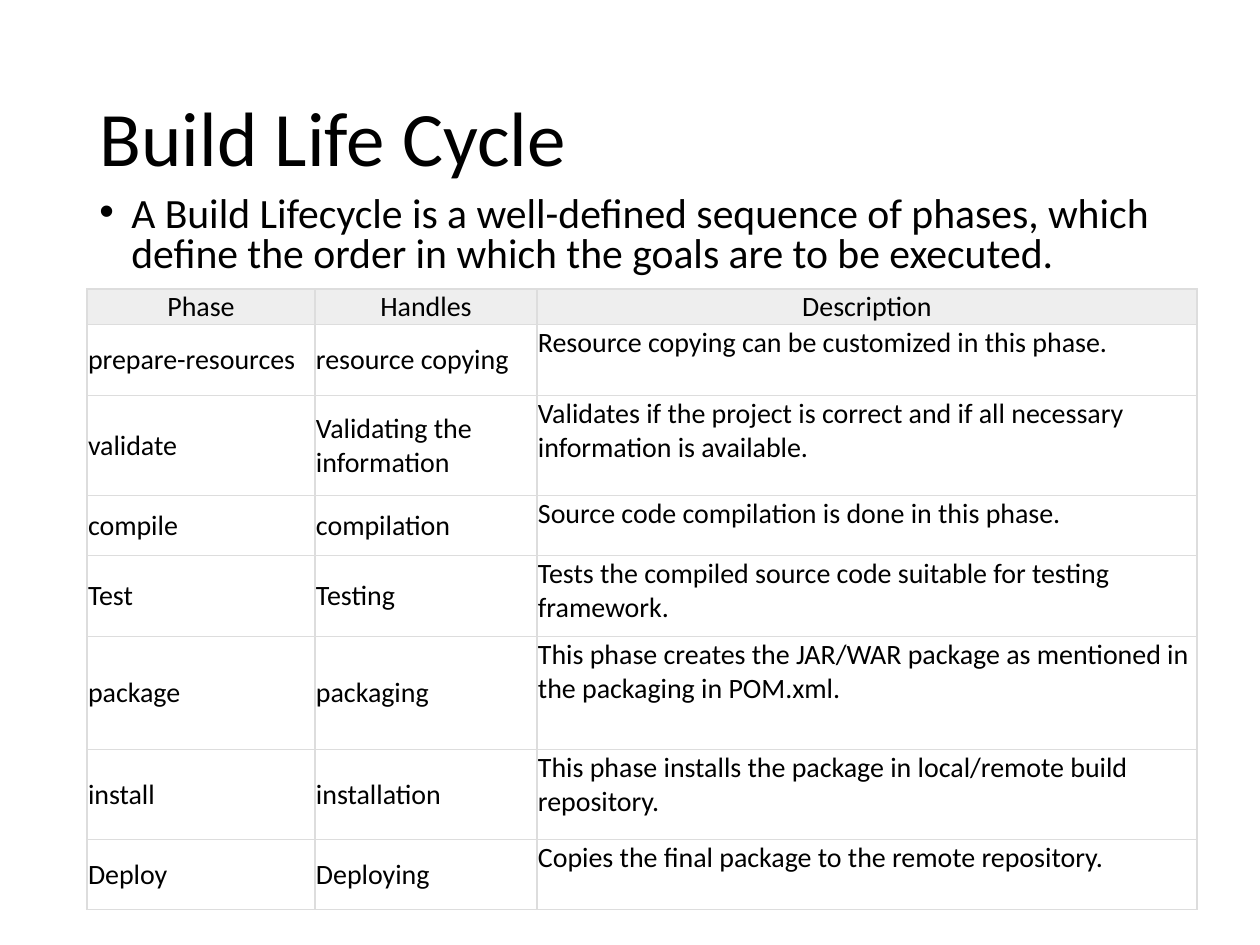
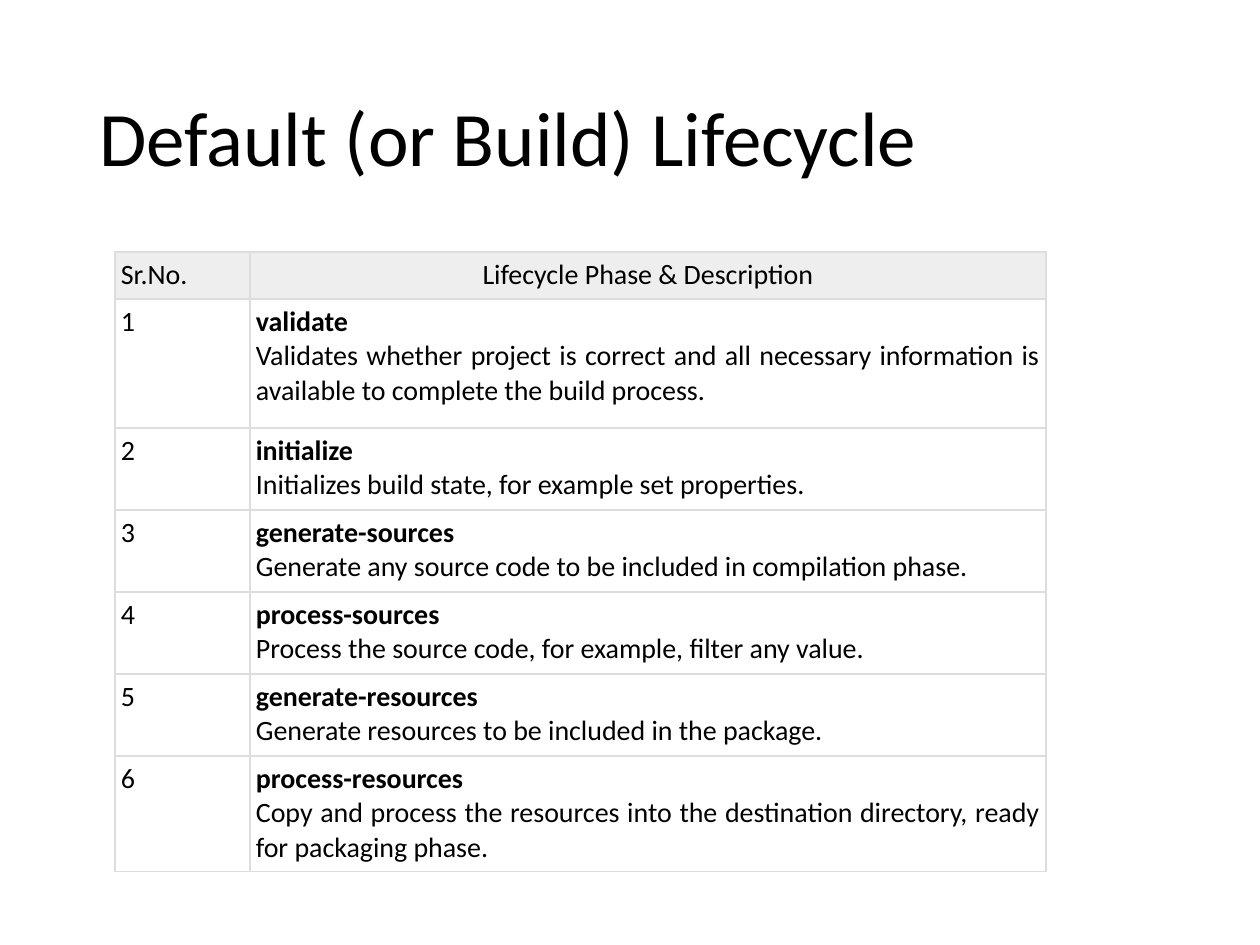
import pptx
import pptx.util
import pptx.dml.color
import pptx.enum.text
import pptx.oxml
import pptx.oxml.ns
import lxml.etree

PX = 914400 / 126
FONT, INK, PAPER = "Calibri", "000000", "FFFFFF"
HEADER_FILL, RULE = "EEEEEE", "DDDDDD"
LEFT = pptx.enum.text.PP_ALIGN.LEFT
CENTER = pptx.enum.text.PP_ALIGN.CENTER
JUSTIFY = pptx.enum.text.PP_ALIGN.JUSTIFY
TOP = pptx.enum.text.MSO_ANCHOR.TOP
MIDDLE = pptx.enum.text.MSO_ANCHOR.MIDDLE


def px(length):
    return pptx.util.Emu(round(length * PX))


def write(frame, text, size=16, align=LEFT, bold_first=False, spacing=None, before=0):
    """Fill a text frame; each line of the text becomes one paragraph."""
    for i, line in enumerate(text.split("\n")):
        paragraph = frame.paragraphs[0] if i == 0 else frame.add_paragraph()
        paragraph.alignment = align
        paragraph.space_before = pptx.util.Pt(before)
        if spacing:
            paragraph.line_spacing = spacing
        run = paragraph.add_run()
        run.text = line
        run.font.name = FONT
        run.font.size = pptx.util.Pt(size)
        run.font.bold = bold_first and i == 0
        run.font.color.rgb = pptx.dml.color.RGBColor.from_string(INK)


deck = pptx.Presentation()
deck.slide_width, deck.slide_height = px(1260), px(945)

# Content of both slides; "columns" holds the width, alignment and anchor of each column
build_cycle = {
    "title": "Build Life Cycle",
    "intro": "A Build Lifecycle is a well-defined sequence of phases, "
             "which define the order in which the goals are to be executed.",
    "origin": (87, 289),
    "inset": 1,
    "columns": [(228, LEFT, MIDDLE), (222, LEFT, MIDDLE), (660, LEFT, TOP)],
    "header_aligns": [CENTER, CENTER, CENTER],
    "heights": [35, 71, 100, 60, 81, 113, 90, 70],
    "rows": [
        ("Phase", "Handles", "Description"),
        ("prepare-resources", "resource copying",
         "Resource copying can be customized in this phase."),
        ("validate", "Validating the information",
         "Validates if the project is correct and if all necessary information is available."),
        ("compile", "compilation", "Source code compilation is done in this phase."),
        ("Test", "Testing", "Tests the compiled source code suitable for testing framework."),
        ("package", "packaging",
         "This phase creates the JAR/WAR package as mentioned in the packaging in POM.xml."),
        ("install", "installation",
         "This phase installs the package in local/remote build repository."),
        ("Deploy", "Deploying", "Copies the final package to the remote repository."),
    ],
}

phases = [
    ("validate", "Validates whether project is correct and all necessary information "
                 "is available to complete the build process."),
    ("initialize", "Initializes build state, for example set properties."),
    ("generate-sources", "Generate any source code to be included in compilation phase."),
    ("process-sources", "Process the source code, for example, filter any value."),
    ("generate-resources", "Generate resources to be included in the package."),
    ("process-resources", "Copy and process the resources into the destination directory, "
                          "ready for packaging phase."),
]
default_cycle = {
    "title": "Default (or Build) Lifecycle",
    "intro": None,
    "origin": (115, 252),
    "inset": 6,
    "columns": [(135, LEFT, TOP), (796, JUSTIFY, TOP)],
    "header_aligns": [LEFT, CENTER],
    "heights": [47, 129, 82, 82, 82, 82, 116],
    "rows": [("Sr.No.", "Lifecycle Phase & Description")]
            + [(str(n), f"{name}\n{about}") for n, (name, about) in enumerate(phases, 1)],
}

for cycle in (build_cycle, default_cycle):
    slide = deck.slides.add_slide(deck.slide_layouts[5])

    # Title
    title = slide.shapes.title
    title.left, title.top, title.width, title.height = px(87), px(50), px(1086), px(183)
    title.text_frame.vertical_anchor = MIDDLE
    write(title.text_frame, cycle["title"], size=44, spacing=0.9)

    # Bulleted introduction
    if cycle["intro"]:
        intro = slide.shapes.add_textbox(px(87), px(190), px(1086), px(113)).text_frame
        intro.word_wrap = True
        write(intro, cycle["intro"], size=23.8, spacing=0.8, before=10)
        bullet_format = intro.paragraphs[0]._p.get_or_add_pPr()
        bullet_format.set("marL", str(px(32)))
        bullet_format.set("indent", str(px(-32)))
        for tag, key, value in (("a:buFont", "typeface", "Arial"), ("a:buChar", "char", "•")):
            lxml.etree.SubElement(bullet_format, pptx.oxml.ns.qn(tag)).set(key, value)

    # Phase table
    columns, heights = cycle["columns"], cycle["heights"]
    left, top = cycle["origin"]
    table = slide.shapes.add_table(
        len(heights), len(columns), px(left), px(top),
        px(sum(width for width, _, _ in columns)), px(sum(heights))).table
    table.first_row = table.horz_banding = False
    for column, (width, _, _) in zip(table.columns, columns):
        column.width = px(width)

    for r, (height, texts) in enumerate(zip(heights, cycle["rows"])):
        table.rows[r].height = px(height)
        for c, (text, (_, align, anchor)) in enumerate(zip(texts, columns)):
            is_header = r == 0
            cell = table.cell(r, c)
            cell.margin_left = cell.margin_right = px(cycle["inset"])
            cell.margin_top = cell.margin_bottom = px(cycle["inset"])
            cell.vertical_anchor = TOP if is_header else anchor
            write(cell.text_frame, text, bold_first="\n" in text,
                  align=cycle["header_aligns"][c] if is_header else align)

            # Borders come before the fill in the cell properties
            for side in ("lnL", "lnR", "lnT", "lnB"):
                cell._tc.get_or_add_tcPr().append(pptx.oxml.parse_xml(
                    f'<a:{side} {pptx.oxml.ns.nsdecls("a")} w="9525"><a:solidFill>'
                    f'<a:srgbClr val="{RULE}"/></a:solidFill></a:{side}>'))
            cell.fill.solid()
            cell.fill.fore_color.rgb = pptx.dml.color.RGBColor.from_string(
                HEADER_FILL if is_header else PAPER)

deck.save("out.pptx")
